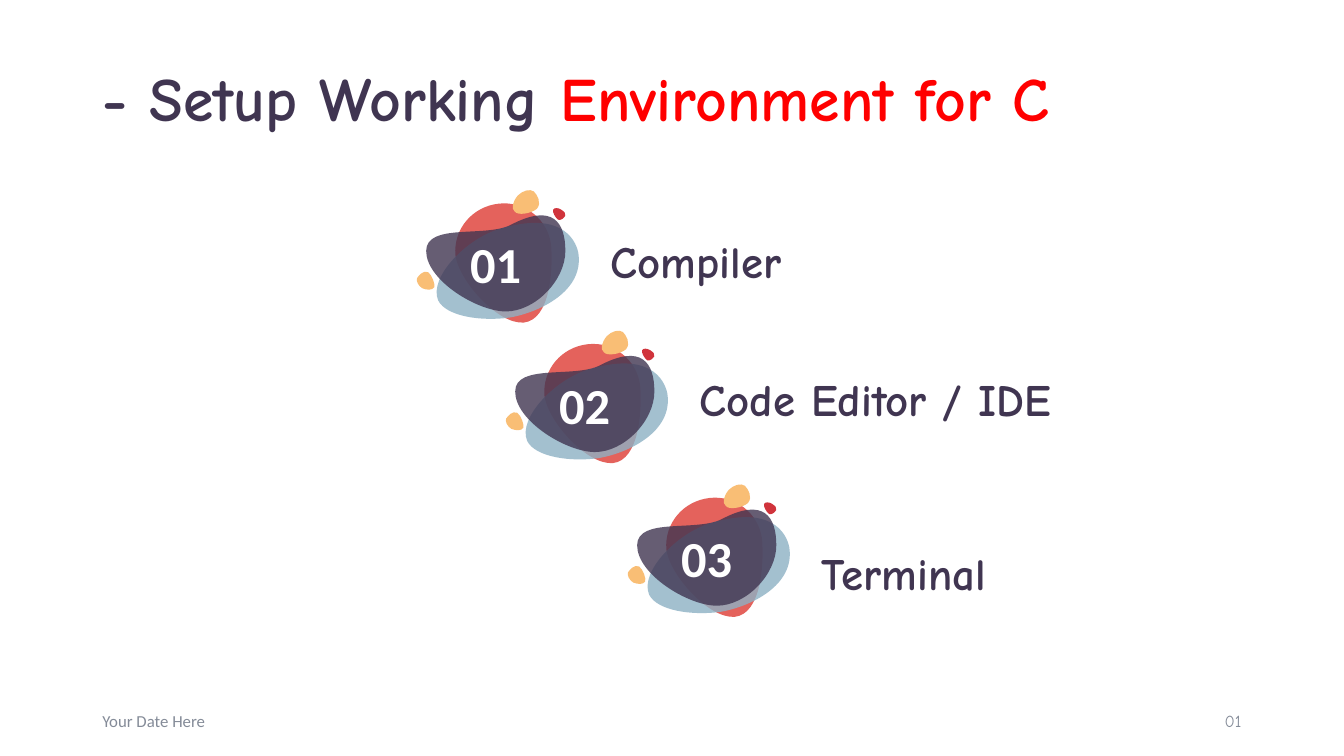
from dataclasses import dataclass

from lxml.etree import SubElement
from pptx import Presentation
from pptx.dml.color import RGBColor
from pptx.enum.text import MSO_ANCHOR as Anchor, MSO_AUTO_SIZE as AutoSize, PP_ALIGN as Align
from pptx.oxml.ns import qn
from pptx.util import Pt


@dataclass(frozen=True)
class Theme:
    """Colours, fonts and type sizes of the slide."""
    plum: str = "403551"
    red: str = "FF0000"
    coral: str = "E4625C"
    blue: str = "8DB1C4"
    amber: str = "F9BE75"
    crimson: str = "D0343C"
    grey: str = "848B98"
    white: str = "FFFFFF"
    heading_font: str = "Comic Neue"
    body_font: str = "Calibri"
    title_size: int = 44
    number_size: int = 36
    label_size: int = 32
    footer_size: int = 12


theme = Theme()


def write_text(shape, runs, font, size, bold=False, align=Align.LEFT,
               anchor=Anchor.MIDDLE, insets=(7.2, 3.6, 7.2, 3.6)):
    """Fill a shape with one paragraph of (text, colour) runs."""
    frame = shape.text_frame
    frame.word_wrap = True
    frame.auto_size = AutoSize.NONE
    frame.vertical_anchor = anchor
    (frame.margin_left, frame.margin_top,
     frame.margin_right, frame.margin_bottom) = map(Pt, insets)
    paragraph = frame.paragraphs[0]
    paragraph.alignment = align
    for text, colour in runs:
        run = paragraph.add_run()
        run.text = text
        run.font.name = font
        run.font.size = Pt(size)
        run.font.bold = bold
        run.font.color.rgb = RGBColor.from_string(colour)
    return paragraph


def add_blob(shapes, left, top, points, colour, opacity, steps=20):
    """Draw a closed outline of cubic curves; points run anchor, control, control, anchor."""
    # The extremes of the curves give the frame of the shape
    reached = []
    for first in range(0, len(points) - 1, 3):
        for step in range(steps):
            t = step / steps
            weights = ((1 - t) ** 3, 3 * t * (1 - t) ** 2, 3 * t * t * (1 - t), t ** 3)
            reached.append([sum(weight * value for weight, value in zip(weights, values))
                            for values in zip(*points[first:first + 4])])
    (x_low, x_high), (y_low, y_high) = [(min(values), max(values)) for values in zip(*reached)]
    builder = shapes.build_freeform(Pt(left + x_low), Pt(top + y_low))
    builder.add_line_segments([(Pt(left + x_high), Pt(top + y_high))])
    blob = builder.convert_to_shape()

    # Curves take the place of the frame's diagonal
    outline = blob._element.find(".//" + qn("a:path"))
    for segment in list(outline):
        outline.remove(segment)
    for index, (x, y) in enumerate(points):
        if index == 0:
            segment = SubElement(outline, qn("a:moveTo"))
        elif index % 3 == 1:
            segment = SubElement(outline, qn("a:cubicBezTo"))
        SubElement(segment, qn("a:pt"), x=str(Pt(x - x_low)), y=str(Pt(y - y_low)))
    SubElement(outline, qn("a:close"))

    blob.shadow.inherit = False
    blob.line.fill.background()
    blob.fill.solid()
    blob.fill.fore_color.rgb = RGBColor.from_string(colour)
    if opacity < 100:
        colour_node = blob._element.spPr.find(qn("a:solidFill")).find(qn("a:srgbClr"))
        SubElement(colour_node, qn("a:alpha"), val=str(opacity * 1000))
    return blob


# Badge outlines, in points from the badge's top left corner
coral_drop = [
    (28.1, 46.1), (30.2, 64.1), (58.3, 95.8), (77, 94.3),
    (95.8, 92.2), (97.9, 56.9), (96.5, 38.9),
    (94.3, 20.9), (77.8, 7.2), (59, 9.4),
    (40.3, 11.5), (26.6, 27.4), (28.1, 46.1)]
blue_pool = [
    (15.8, 78.5), (21.6, 90), (46.8, 93.6), (67, 90.7),
    (87.8, 87.1), (120.2, 72), (115.9, 44.6),
    (113.8, 33.8), (102.2, 14.4), (59.8, 27.4),
    (36.7, 33.8), (8.6, 61.9), (15.8, 78.5)]
plum_face = [
    (7.2, 43.2), (7.2, 64.1), (43.9, 86.4), (64.1, 86.4),
    (85, 86.4), (106.6, 64.1), (106.6, 43.2),
    (106.6, 23), (97.9, 8.6), (67.7, 24.5),
    (49.7, 33.8), (7.2, 23), (7.2, 43.2)]
amber_top = [
    (70.6, 15.1), (72.7, 18), (82.1, 16.6), (86.4, 13),
    (90, 8.6), (86.4, 2.9), (84.2, 0.7),
    (81.4, -1.4), (76.3, 0), (72.7, 3.6),
    (69.1, 7.9), (67.7, 13), (70.6, 15.1)]
amber_left = [
    (13, 69.1), (13.7, 67), (11.5, 60.5), (8.6, 58.3),
    (5, 56.9), (2.2, 60.5), (0.7, 62.6),
    (0, 64.8), (1.4, 67.7), (4.3, 69.8),
    (7.9, 71.3), (11.5, 71.3), (13, 69.1)]
crimson_dot = [
    (97.9, 13.7), (97.2, 15.1), (99.4, 19.4), (101.5, 20.9),
    (103.7, 21.6), (105.8, 19.4), (106.6, 18),
    (107.3, 16.6), (105.8, 15.1), (103.7, 13.7),
    (101.5, 12.2), (98.6, 12.2), (97.9, 13.7)]
badge_blobs = [
    (coral_drop, theme.coral, 100), (blue_pool, theme.blue, 80),
    (plum_face, theme.plum, 80), (amber_top, theme.amber, 100),
    (amber_left, theme.amber, 100), (crimson_dot, theme.crimson, 100)]

presentation = Presentation()
presentation.slide_width, presentation.slide_height = Pt(960), Pt(540)
slide = presentation.slides.add_slide(presentation.slide_layouts[5])

title = slide.shapes.title
title.left, title.top, title.width, title.height = Pt(66), Pt(28), Pt(828), Pt(89.5)
heading = write_text(
    title, [("- Setup Working ", theme.plum), ("Environment for C", theme.red)],
    theme.heading_font, theme.title_size, bold=True)
heading.line_spacing = 0.9

for text, left, font, align in [
        ("Your Date Here", 66, theme.body_font, Align.LEFT),
        ("01", 678, theme.heading_font, Align.RIGHT)]:
    footer = slide.shapes.add_textbox(Pt(left), Pt(500.5), Pt(216), Pt(28.8))
    write_text(footer, [(text, theme.grey)], font, theme.footer_size, align=align)

# Label, badge left and top, label top and width
topics = [
    ("Compiler", 297.2, 136.1, 152.3, 249),
    ("Code Editor / IDE", 360.8, 236.5, 250.6, 311),
    ("Terminal", 447.9, 346.3, 374.6, 264)]
label_offset = 132

for number, (label, left, top, label_top, label_width) in enumerate(topics, start=1):
    group = slide.shapes.add_group_shape()
    for points, colour, opacity in badge_blobs:
        blob = add_blob(group.shapes, left, top, points, colour, opacity)
        if points is plum_face:
            write_text(blob, [(f"{number:02d}", theme.white)], theme.body_font,
                       theme.number_size, bold=True, align=Align.CENTER, insets=(3, 3, 3, 3))
    label_box = group.shapes.add_textbox(
        Pt(left + label_offset), Pt(label_top), Pt(label_width), Pt(53.3))
    write_text(label_box, [(label, theme.plum)], theme.heading_font, theme.label_size,
               bold=True, anchor=Anchor.BOTTOM, insets=(7.2, 14.4, 7.2, 0))

presentation.save("out.pptx")
